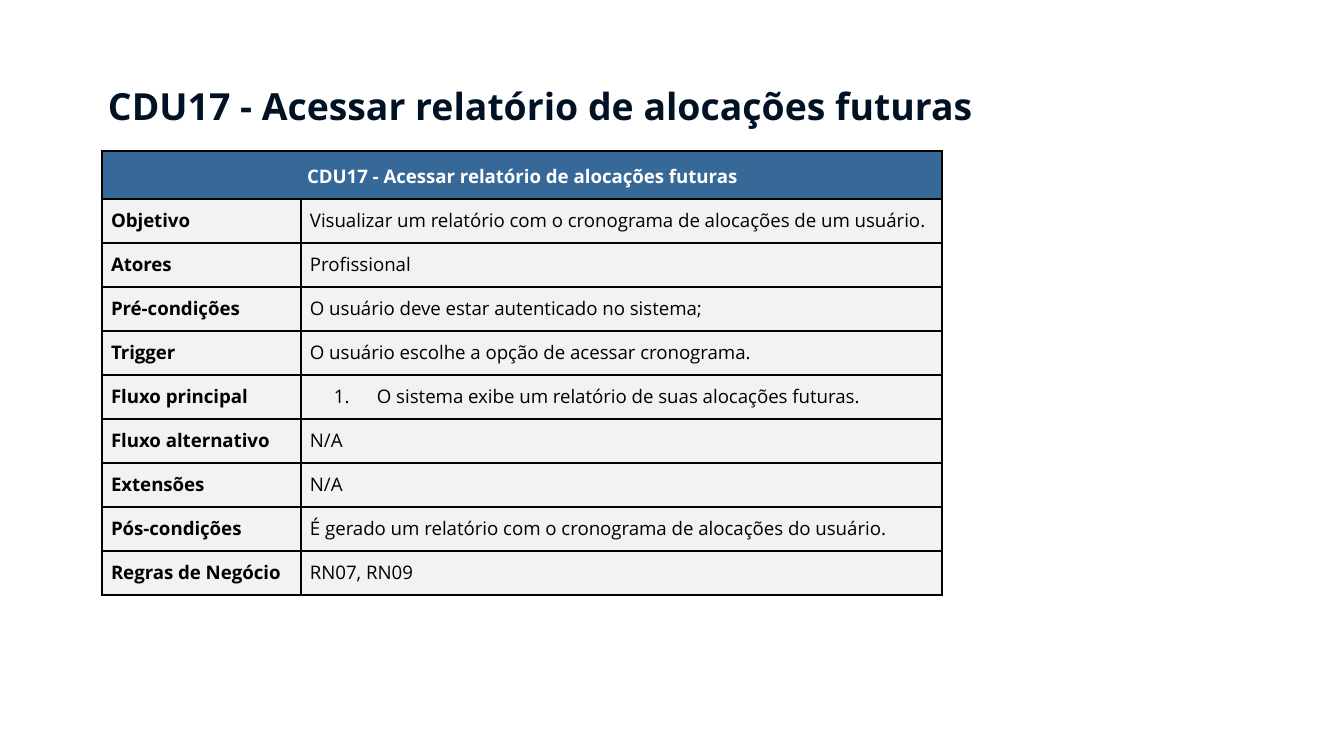
from dataclasses import dataclass

from lxml import etree
from pptx import Presentation
from pptx.dml.color import RGBColor
from pptx.enum.text import MSO_ANCHOR, MSO_AUTO_SIZE, PP_ALIGN
from pptx.oxml.ns import qn
from pptx.util import Emu, Pt

CENTER = PP_ALIGN.CENTER
LEFT = PP_ALIGN.LEFT
TOP = MSO_ANCHOR.TOP
GROW = MSO_AUTO_SIZE.SHAPE_TO_FIT_TEXT

SCALE = 914400 / 134.4
FONT = "Open Sans"
NAVY = RGBColor(0x01, 0x12, 0x25)
BLUE = RGBColor(0x37, 0x69, 0x98)
GRAY = RGBColor(0xF2, 0xF2, 0xF2)
WHITE = RGBColor(0xFF, 0xFF, 0xFF)
BLACK = RGBColor(0x00, 0x00, 0x00)

TITLE = "CDU17 - Acessar relatório de alocações futuras"
COLUMN_WIDTHS = (199, 641)
HEADER_HEIGHT = 48
ROW_HEIGHT = 44
CELL_INSET = 9
TITLE_INSET = 13


@dataclass
class Field:
    label: str
    value: str
    numbered: bool = False


FIELDS = [
    Field("Objetivo", "Visualizar um relatório com o cronograma de alocações de um usuário."),
    Field("Atores", "Profissional"),
    Field("Pré-condições", "O usuário deve estar autenticado no sistema;"),
    Field("Trigger", "O usuário escolhe a opção de acessar cronograma."),
    Field("Fluxo principal", "O sistema exibe um relatório de suas alocações futuras.", True),
    Field("Fluxo alternativo", "N/A"),
    Field("Extensões", "N/A"),
    Field("Pós-condições", "É gerado um relatório com o cronograma de alocações do usuário."),
    Field("Regras de Negócio", "RN07, RN09"),
]


def px(length: int) -> Emu:
    return Emu(round(length * SCALE))


def set_insets(target, inset: int) -> None:
    target.margin_left = target.margin_right = px(inset)
    target.margin_top = target.margin_bottom = px(inset)


def write(para, text: str, size: int, color: RGBColor, bold: bool, align=LEFT) -> None:
    para.text = text
    para.alignment = align
    for span in para.runs:
        span.font.name = FONT
        span.font.size = Pt(size)
        span.font.bold = bold
        span.font.color.rgb = color


def add_color(parent, color: RGBColor) -> None:
    etree.SubElement(parent, qn("a:srgbClr"), val=str(color))


def add_number(para) -> None:
    properties = para._p.get_or_add_pPr()
    properties.set("marL", str(px(67)))
    properties.set("indent", str(px(-43)))
    add_color(etree.SubElement(properties, qn("a:buClr")), BLACK)
    etree.SubElement(properties, qn("a:buFont"), typeface=FONT)
    etree.SubElement(properties, qn("a:buAutoNum"), type="arabicPeriod")


def style_cell(cell, fill: RGBColor) -> None:
    properties = cell._tc.get_or_add_tcPr()
    for side in ("a:lnL", "a:lnR", "a:lnT", "a:lnB"):
        line = etree.SubElement(properties, qn(side), w=str(Pt(1)))
        add_color(etree.SubElement(line, qn("a:solidFill")), BLACK)
    cell.fill.solid()
    cell.fill.fore_color.rgb = fill
    set_insets(cell, CELL_INSET)
    cell.vertical_anchor = TOP


def add_title(page) -> None:
    box = page.shapes.add_textbox(px(95), px(70), px(1154), px(73))
    frame = box.text_frame
    frame.word_wrap = True
    frame.auto_size = GROW
    set_insets(frame, TITLE_INSET)
    write(frame.paragraphs[0], TITLE, 20, NAVY, True)


def add_use_case_table(page, fields: list[Field]) -> None:
    height = HEADER_HEIGHT + ROW_HEIGHT * len(fields)
    table = page.shapes.add_table(
        len(fields) + 1, len(COLUMN_WIDTHS),
        px(102), px(151), px(sum(COLUMN_WIDTHS)), px(height),
    ).table
    for column, width in zip(table.columns, COLUMN_WIDTHS):
        column.width = px(width)
    for index, row in enumerate(table.rows):
        row.height = px(ROW_HEIGHT if index else HEADER_HEIGHT)
        for cell in row.cells:
            style_cell(cell, GRAY if index else BLUE)

    header = table.cell(0, 0)
    header.merge(table.cell(0, 1))
    para = header.text_frame.paragraphs[0]
    write(para, TITLE, 10, WHITE, True, CENTER)
    para.line_spacing = 1.15

    for index, field in enumerate(fields, start=1):
        label = table.cell(index, 0).text_frame.paragraphs[0]
        value = table.cell(index, 1).text_frame.paragraphs[0]
        if field.numbered:
            add_number(value)
        write(label, field.label, 10, BLACK, True)
        write(value, field.value, 10, BLACK, False)


def main() -> None:
    deck = Presentation()
    deck.slide_width = px(1344)
    deck.slide_height = px(756)
    page = deck.slides.add_slide(deck.slide_layouts[6])
    page.background.fill.solid()
    page.background.fill.fore_color.rgb = WHITE
    add_use_case_table(page, FIELDS)
    add_title(page)
    deck.save("out.pptx")


if __name__ == "__main__":
    main()
